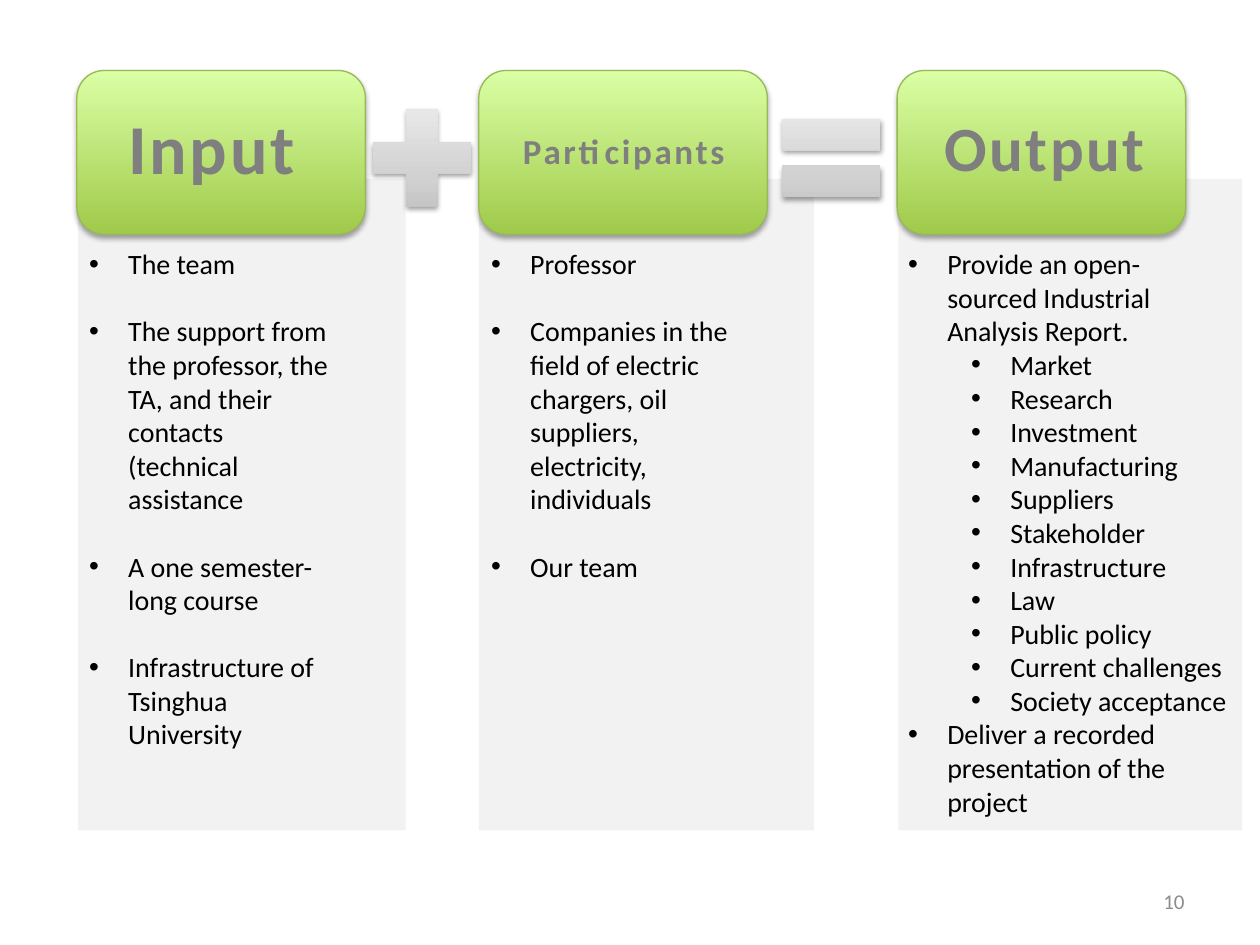
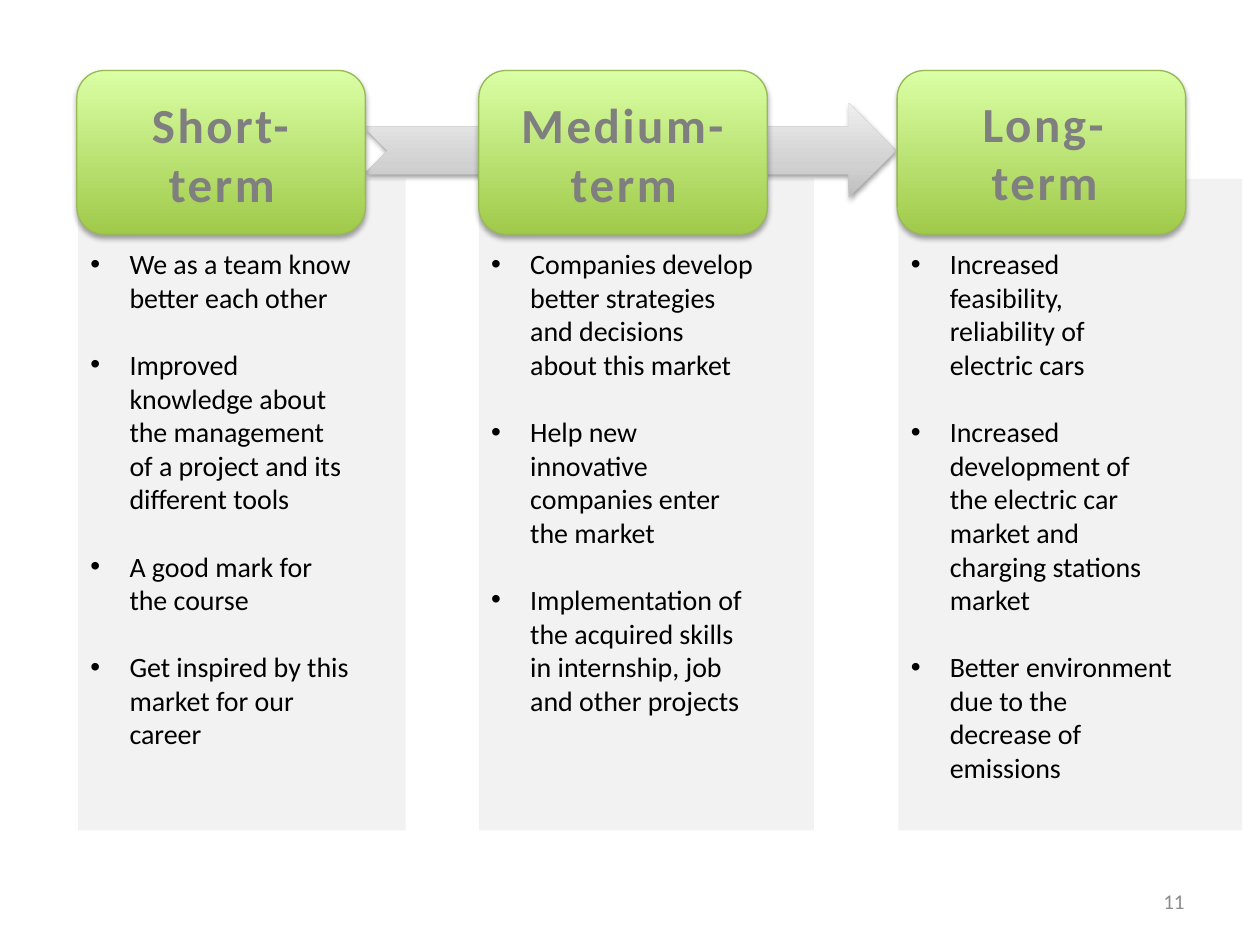
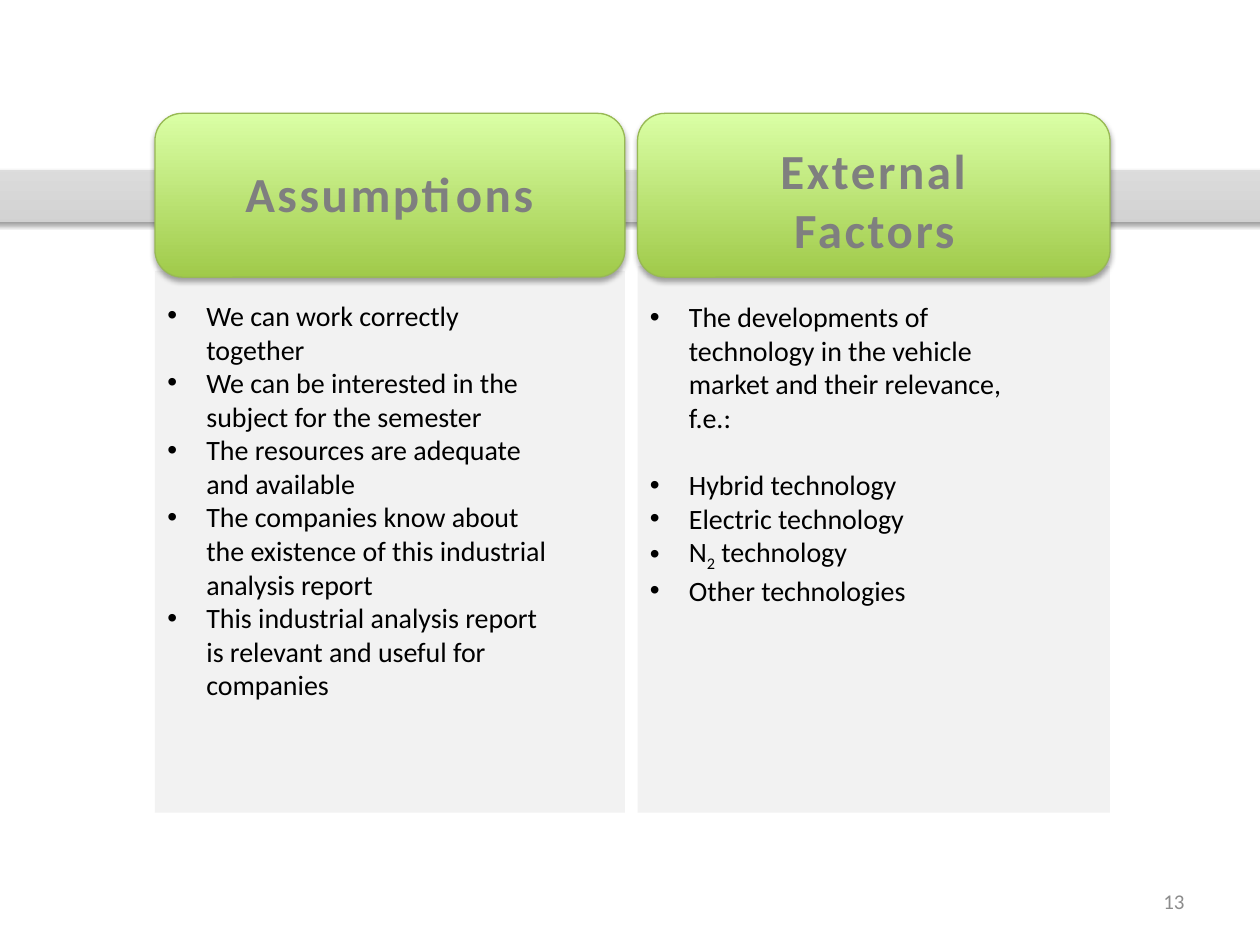
"""Builds three slides of headed columns for a project logic model."""
import lxml.etree
import pptx
import pptx.dml.color
import pptx.enum.shapes
import pptx.enum.text
import pptx.oxml.ns
import pptx.util

Inches = pptx.util.Inches
Pt = pptx.util.Pt
SHAPES = pptx.enum.shapes.MSO_SHAPE
ALIGN = pptx.enum.text.PP_ALIGN
ANCHOR = pptx.enum.text.MSO_ANCHOR

FONT = "Calibri"
BLACK, GREY, PALE_GREY, PAGE_GREY = "000000", "7F7F7F", "F2F2F2", "8C8C8C"
GREEN_EDGE = "98B955"
GREEN_GRADIENT = [(0, "A0CA4A"), (100, "DAFFA5")]
GREY_GRADIENT = [(0, "BDBDBD"), (35, "D1D1D1"), (100, "EEEEEE")]
GREEN_SHADOW = (35, 1.8)
GREY_SHADOW = (38, 1.6)
CARD_HEIGHT = 1.3
INDENT = 0.31
LEVEL_STEP = 0.5
GROUP_GAP = 19.2

THREE_COLUMNS = {
    "card_top": 0.56,
    "cards": [(0.61, 2.29), (3.8, 2.29), (7.12, 2.29)],
    "panels": [(0.62, 1.42, 2.6, 5.17), (3.8, 1.42, 2.66, 5.17), (7.13, 1.42, 2.73, 5.17)],
}
TWO_COLUMNS = {
    "card_top": 0.9,
    "cards": [(1.23, 3.73), (5.06, 3.75)],
    "panels": [(1.23, 2.15, 3.73, 4.3), (5.06, 2.11, 3.75, 4.34)],
}

# Bullets are lists of groups; a tuple within a group holds second-level bullets.
SLIDES = [
    {
        "page": 10,
        "layout": THREE_COLUMNS,
        "signs": [(SHAPES.MATH_PLUS, (2.82, 0.73, 1.06, 1.05)),
                  (SHAPES.MATH_EQUAL, (6.07, 0.73, 1.06, 1.05))],
        "headings": [("Input", 40, (0.72, 0.78, 1.92, 0.77)),
                     ("Participants", 20, (3.99, 0.98, 1.92, 0.44)),
                     ("Output", 36, (7.33, 0.81, 1.92, 0.71))],
        "bullets": [
            ((0.61, 1.91, 2.16, 4.27), [
                ["The team"],
                ["The support from the professor, the TA, and their contacts (technical assistance"],
                ["A one semester-long course"],
                ["Infrastructure of Tsinghua University"]]),
            ((3.8, 1.91, 2.29, 2.79), [
                ["Professor"],
                ["Companies in the field of electric chargers, oil suppliers, electricity, individuals"],
                ["Our team"]]),
            ((7.11, 1.91, 2.75, 4.68), [
                ["Provide an open-sourced Industrial Analysis Report.",
                 ("Market", "Research", "Investment", "Manufacturing", "Suppliers",
                  "Stakeholder", "Infrastructure", "Law", "Public policy",
                  "Current challenges", "Society acceptance"),
                 "Deliver a recorded presentation of the project"]]),
        ],
    },
    {
        "page": 11,
        "layout": THREE_COLUMNS,
        "signs": [(SHAPES.NOTCHED_RIGHT_ARROW, (2.89, 0.82, 4.22, 0.75))],
        "headings": [("Short-term", 28, (0.8, 0.7, 1.92, 1.04)),
                     ("Medium-term", 28, (3.99, 0.7, 1.92, 1.04)),
                     ("Long-term", 28, (7.33, 0.69, 1.92, 1.04))],
        "bullets": [
            ((0.62, 1.91, 2.27, 4.41), [
                ["We as a team know better each other"],
                ["Improved knowledge about the management of a project and its different tools"],
                ["A good mark for the course"],
                ["Get inspired by this market for our career"]]),
            ((3.8, 1.91, 2.29, 3.87), [
                ["Companies develop better strategies and decisions about this market"],
                ["Help new innovative companies enter the market"],
                ["Implementation of the acquired skills in internship, job and other projects"]]),
            ((7.13, 1.91, 2.28, 4.41), [
                ["Increased feasibility, reliability of electric cars"],
                ["Increased development of the electric car market and charging stations market"],
                ["Better environment due to the decrease of emissions"]]),
        ],
    },
    {
        "page": 13,
        "layout": TWO_COLUMNS,
        "signs": [(SHAPES.MATH_MINUS, (-2.03, 0.69, 13.9, 1.73))],
        "headings": [("Assumptions", 28, (1.7, 1.25, 2.78, 0.57)),
                     ("External Factors", 28, (5.42, 1.07, 3.04, 1.04))],
        "bullets": [
            ((1.23, 2.32, 3.24, 3.33), [
                ["We can work correctly together",
                 "We can be interested in the subject for the semester",
                 "The resources are adequate and available",
                 "The companies know about the existence of this industrial analysis report",
                 "This industrial analysis report is relevant and useful for companies"]]),
            ((5.06, 2.33, 3.26, 2.52), [
                ["The developments of technology in the vehicle market and their relevance, f.e.:"],
                ["Hybrid technology", "Electric technology", "N_2_ technology",
                 "Other technologies"]]),
        ],
    },
]


def color(value):
    return pptx.dml.color.RGBColor.from_string(value)


def add_element(parent, tag, **attributes):
    element = lxml.etree.SubElement(parent, pptx.oxml.ns.qn(tag))
    for name, value in attributes.items():
        element.set(name, str(value))
    return element


def add_shape(slide, kind, box, edge=None):
    shape = slide.shapes.add_shape(kind, *map(Inches, box))
    shape.shadow.inherit = False
    if edge:
        shape.line.color.rgb = color(edge)
        shape.line.width = Pt(0.75)
    else:
        shape.line.fill.background()
    return shape


def add_raised_shape(slide, kind, box, gradient, shadow, edge=None):
    shape = add_shape(slide, kind, box, edge)
    shape.fill.gradient()
    shape.fill.gradient_angle = 90
    properties = shape.element.spPr
    stops = properties.find(".//" + pptx.oxml.ns.qn("a:gsLst"))
    for stop in list(stops):
        stops.remove(stop)
    for position, value in gradient:
        stop = add_element(stops, "a:gs", pos=position * 1000)
        add_element(stop, "a:srgbClr", val=value)
    opacity, distance = shadow
    effects = properties.find(pptx.oxml.ns.qn("a:effectLst"))
    outer = add_element(effects, "a:outerShdw", blurRad=Pt(3.1), dist=Pt(distance),
                        dir=90 * 60000, rotWithShape=0)
    shade = add_element(outer, "a:srgbClr", val=BLACK)
    add_element(shade, "a:alpha", val=opacity * 1000)


def add_text_frame(slide, box):
    frame = slide.shapes.add_textbox(*map(Inches, box)).text_frame
    frame.word_wrap = True
    return frame


def style(paragraph, size, value, bold=False, align=ALIGN.LEFT):
    paragraph.alignment = align
    paragraph.font.name = FONT
    paragraph.font.size = Pt(size)
    paragraph.font.bold = bold
    paragraph.font.color.rgb = color(value)


def add_heading(slide, text, size, box):
    paragraph = add_text_frame(slide, box).paragraphs[0]
    run = paragraph.add_run()
    run.text = text
    run._r.get_or_add_rPr().set("spc", "150")
    style(paragraph, size, GREY, True, ALIGN.CENTER)


def flatten(groups):
    for group_index, group in enumerate(groups):
        for item_index, item in enumerate(group):
            gap = GROUP_GAP if group_index and not item_index else 0
            if isinstance(item, tuple):
                yield from ((text, 1, 0) for text in item)
            else:
                yield item, 0, gap


def add_bullets(slide, box, groups):
    frame = add_text_frame(slide, box)
    for index, (text, level, gap) in enumerate(flatten(groups)):
        paragraph = frame.add_paragraph() if index else frame.paragraphs[0]
        paragraph.level = level
        properties = paragraph._p.get_or_add_pPr()
        properties.set("marL", str(Inches(INDENT + level * LEVEL_STEP)))
        properties.set("indent", str(Inches(-INDENT)))
        add_element(properties, "a:buFont", typeface="Arial")
        add_element(properties, "a:buChar", char="•")
        if gap:
            paragraph.space_before = Pt(gap)
        for part_index, part in enumerate(text.split("_")):
            run = paragraph.add_run()
            run.text = part
            if part_index % 2:
                run._r.get_or_add_rPr().set("baseline", "-25000")
        style(paragraph, 16, BLACK)


def add_page_number(slide, number):
    frame = add_text_frame(slide, (7.17, 6.95, 2.33, 0.4))
    frame.vertical_anchor = ANCHOR.MIDDLE
    frame.text = str(number)
    style(frame.paragraphs[0], 12, PAGE_GREY, align=ALIGN.RIGHT)


def build_slide(presentation, content):
    slide = presentation.slides.add_slide(presentation.slide_layouts[6])
    layout = content["layout"]
    for box in layout["panels"]:
        panel = add_shape(slide, SHAPES.RECTANGLE, box)
        panel.fill.solid()
        panel.fill.fore_color.rgb = color(PALE_GREY)
    for kind, box in content["signs"]:
        add_raised_shape(slide, kind, box, GREY_GRADIENT, GREY_SHADOW)
    for left, width in layout["cards"]:
        add_raised_shape(slide, SHAPES.ROUNDED_RECTANGLE,
                         (left, layout["card_top"], width, CARD_HEIGHT),
                         GREEN_GRADIENT, GREEN_SHADOW, GREEN_EDGE)
    for heading in content["headings"]:
        add_heading(slide, *heading)
    for box, groups in content["bullets"]:
        add_bullets(slide, box, groups)
    add_page_number(slide, content["page"])


def main():
    presentation = pptx.Presentation()
    presentation.slide_width = Inches(10)
    presentation.slide_height = Inches(7.5)
    for content in SLIDES:
        build_slide(presentation, content)
    presentation.save("out.pptx")


if __name__ == "__main__":
    main()
